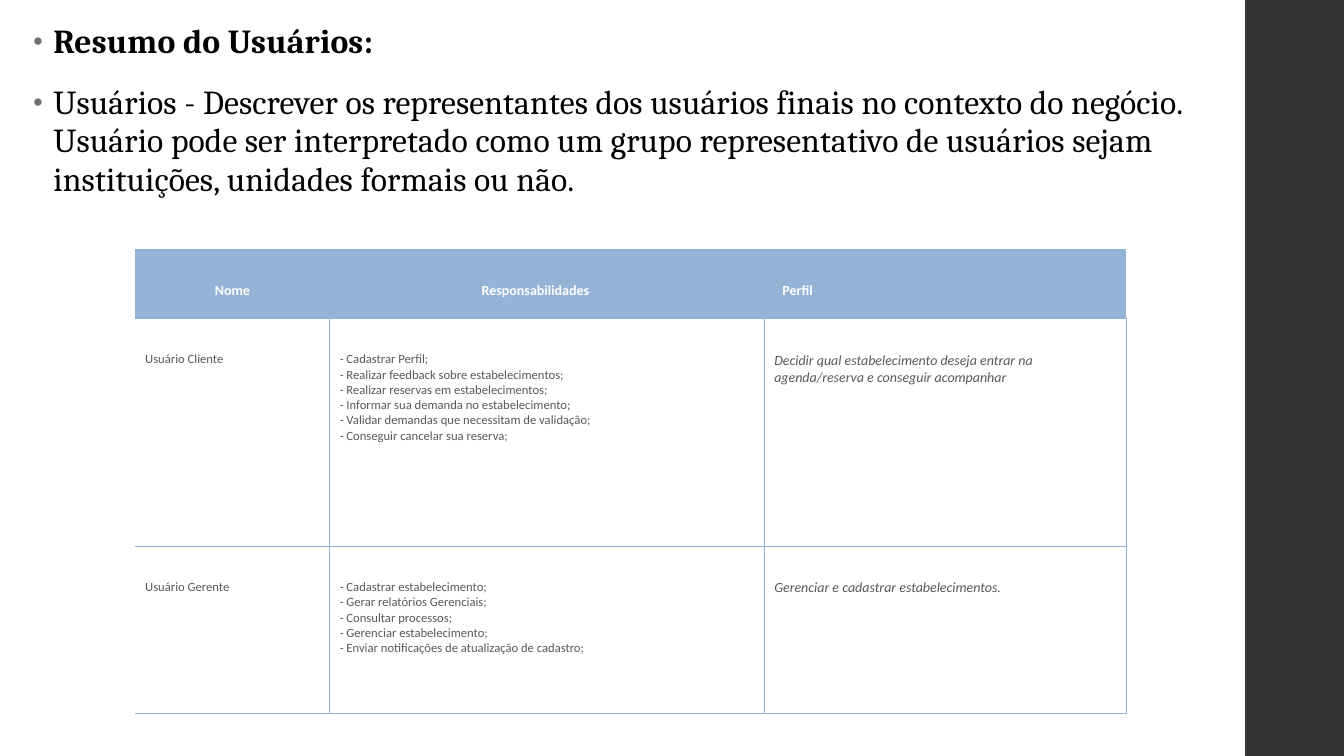
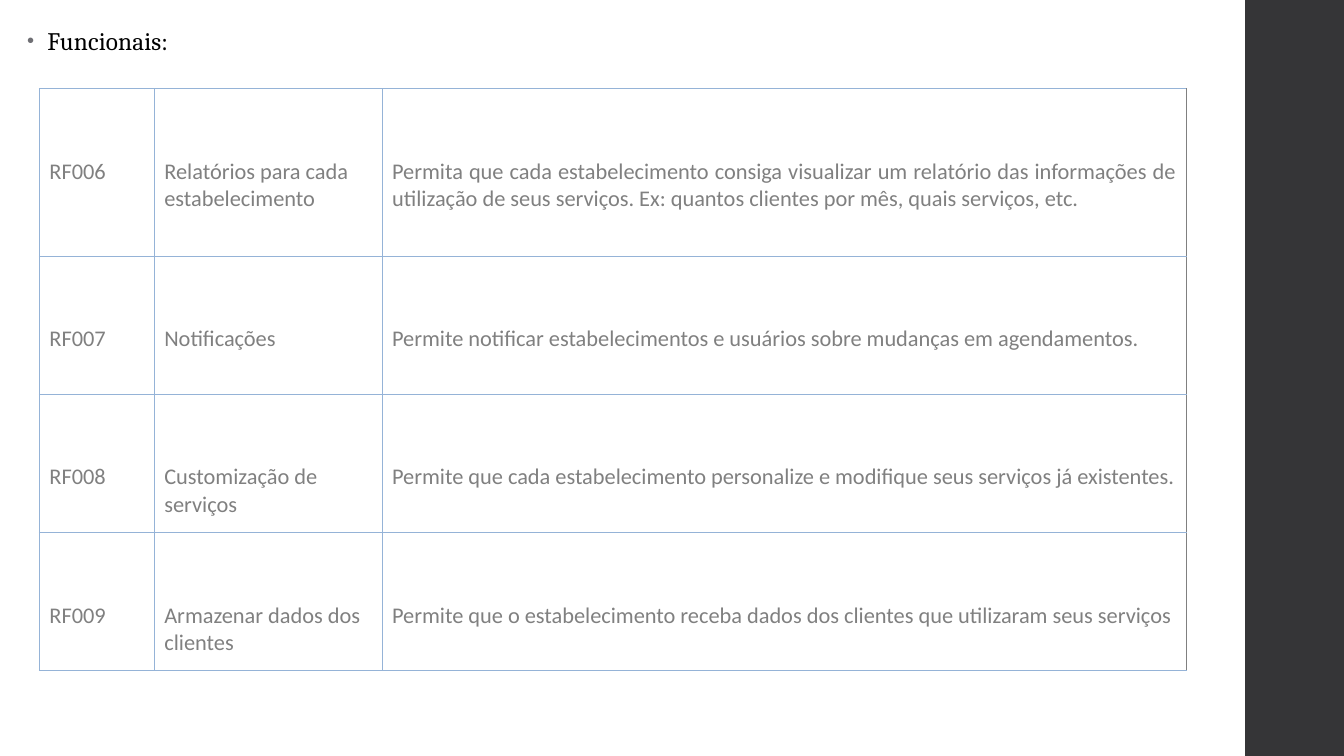
from lxml import etree
from pptx import Presentation
from pptx import util as u
from pptx.dml.color import RGBColor
from pptx.enum import shapes, text
from pptx.oxml import ns

BLACK = RGBColor(0x00, 0x00, 0x00)
WHITE = RGBColor(0xFF, 0xFF, 0xFF)
DARK = RGBColor(0x35, 0x35, 0x37)
BLUE = RGBColor(0x95, 0xB3, 0xD7)
TEXT = RGBColor(0x59, 0x59, 0x59)
GREY = RGBColor(0x80, 0x80, 0x80)
DOT = RGBColor(0x6F, 0x6F, 0x74)
PLAIN = "{2D5ABB26-0587-4C30-8999-92F81FD0307C}"
LEFT, MID, JUST = text.PP_ALIGN.LEFT, text.PP_ALIGN.CENTER, text.PP_ALIGN.JUSTIFY


def add(node, tag, **attrs):
    item = etree.SubElement(node, ns.qn(tag))
    for key, val in attrs.items():
        item.set(key, str(val))
    return item


def fill_cell(cell, words, font, align, gap, edges, back=None):
    cell.text_frame.text = words
    cell.margin_top = u.Inches(gap)
    size, color, bold, slant = font
    for par in cell.text_frame.paragraphs:
        par.alignment = align
        for run in par.runs:
            run.font.name = "Calibri"
            run.font.size = u.Pt(size)
            run.font.color.rgb = color
            run.font.bold = bold
            run.font.italic = slant
    props = cell._tc.get_or_add_tcPr()
    for side in "LRTB":
        if side in edges:
            line = add(props, "a:ln" + side, w=u.Pt(0.75))
            add(add(line, "a:solidFill"), "a:srgbClr", val=edges[side])
    if back is None:
        cell.fill.background()
    else:
        cell.fill.solid()
        cell.fill.fore_color.rgb = back


deck = Presentation()
deck.slide_width, deck.slide_height = u.Inches(13.33), u.Inches(7.5)
wide, high = deck.slide_width, deck.slide_height
layout = deck.slide_layouts[1]

pages = [
    dict(
        body=(0.23, 0.18, 12.03, 7.15), size=24,
        lines=[
            ("Resumo do Usuários:", True),
            ("Usuários - Descrever os representantes dos usuários finais no contexto "
             "do negócio. Usuário pode ser interpretado como um grupo representativo "
             "de usuários sejam instituições, unidades formais ou não.", False),
        ],
        spot=(1.34, 2.47), cols=[1.93, 4.08, 0.23, 3.59], rows=[0.69, 2.26, 1.66],
    ),
    dict(
        body=(0.17, 0.22, 10.61, 6.54), size=18,
        lines=[("Funcionais:", False)],
        spot=(0.39, 0.88), cols=[1.14, 2.26, 7.98], rows=[1.66] + [1.37] * 3,
    ),
]

grids = []
for page in pages:
    slide = deck.slides.add_slide(layout)
    title = slide.shapes.title.element
    title.getparent().remove(title)
    if not grids:
        band = slide.shapes.add_shape(
            shapes.MSO_SHAPE.RECTANGLE, u.Inches(12.35), 0, wide - u.Inches(12.35), high)
        band.shadow.inherit = False
        band.fill.solid()
        band.fill.fore_color.rgb = DARK
        band.line.fill.background()
        band.element.nvSpPr.cNvPr.id = 20
        layout.shapes.element.insert(2, band.element)

    body = slide.placeholders[1]
    body.left, body.top, body.width, body.height = map(u.Inches, page["body"])
    frame = body.text_frame
    frame.text = "\n".join(words for words, bold in page["lines"])
    frame.auto_size = text.MSO_AUTO_SIZE.NONE
    for par, (words, bold) in zip(frame.paragraphs, page["lines"]):
        par.line_spacing = 0.95
        par.space_before, par.space_after = u.Pt(14), u.Pt(2)
        props = par._p.get_or_add_pPr()
        props.set("marL", str(u.Inches(0.2)))
        props.set("indent", str(u.Inches(-0.2)))
        add(add(props, "a:buClr"), "a:srgbClr", val=DOT)
        add(props, "a:buSzPct", val=80000)
        add(props, "a:buFont", typeface="Arial")
        add(props, "a:buChar", char="•")
        run = par.runs[0]
        run.font.name = "Cambria"
        run.font.size = u.Pt(page["size"])
        run.font.color.rgb = BLACK
        run.font.bold = bold
        run._r.get_or_add_rPr().set("spc", "10")

    cols, rows = page["cols"], page["rows"]
    left, top = page["spot"]
    grid = slide.shapes.add_table(
        len(rows), len(cols), u.Inches(left), u.Inches(top),
        u.Inches(sum(cols)), u.Inches(sum(rows))).table
    grid.first_row = grid.horz_banding = False
    grid._tbl.tblPr.find(ns.qn("a:tableStyleId")).text = PLAIN
    for col, size in zip(grid.columns, cols):
        col.width = u.Inches(size)
    for row, size in zip(grid.rows, rows):
        row.height = u.Inches(size)
    grids.append(grid)

users, needs = grids
heads = {0: ("Nome", MID), 1: ("Responsabilidades", MID), 2: ("Perfil", LEFT)}
for col, (words, align) in heads.items():
    fill_cell(users.cell(0, col), words, (10, WHITE, True, False), align, 0.33, {}, BLUE)
users.cell(0, 2).margin_left = u.Inches(0.41)
users.cell(0, 2).merge(users.cell(0, 3))

people = [
    ("Usuário Cliente",
     "- Cadastrar Perfil;\n"
     "- Realizar feedback sobre estabelecimentos;\n"
     "- Realizar reservas em estabelecimentos;\n"
     "- Informar sua demanda no estabelecimento;\n"
     "- Validar demandas que necessitam de validação;\n"
     "- Conseguir cancelar sua reserva;",
     "Decidir qual estabelecimento deseja entrar na agenda/reserva e conseguir acompanhar"),
    ("Usuário Gerente",
     "- Cadastrar estabelecimento;\n"
     "- Gerar relatórios Gerenciais;\n"
     "- Consultar processos;\n"
     "- Gerenciar estabelecimento;\n"
     "- Enviar notificações de atualização de cadastro;",
     "Gerenciar e cadastrar estabelecimentos."),
]
small, slant = (9, TEXT, False, False), (10, TEXT, False, True)
for row, (name, tasks, goal) in enumerate(people, 1):
    users.cell(row, 1).merge(users.cell(row, 2))
    for col, words, font, sides in [
            (0, name, small, "RTB"), (1, tasks, small, "LRTB"),
            (2, "", small, "RTB"), (3, goal, slant, "LTB")]:
        fill_cell(users.cell(row, col), words, font, LEFT, 0.33, dict.fromkeys(sides, BLUE))

items = [
    ("RF006", "Relatórios para cada estabelecimento",
     "Permita que cada estabelecimento consiga visualizar um relatório das informações "
     "de utilização de seus serviços. Ex: quantos clientes por mês, quais serviços, etc."),
    ("RF007", "Notificações",
     "Permite notificar estabelecimentos e usuários sobre mudanças em agendamentos."),
    ("RF008", "Customização de serviços",
     "Permite que cada estabelecimento personalize e modifique seus serviços já existentes."),
    ("RF009", "Armazenar dados dos clientes",
     "Permite que o estabelecimento receba dados dos clientes que utilizaram seus serviços"),
]
for row, item in enumerate(items):
    for col, words in enumerate(item):
        last = col == 2
        edges = dict.fromkeys("LRTB", BLUE)
        if last:
            edges["R"] = GREY
        fill_cell(needs.cell(row, col), words, (16, GREY, False, False),
                  JUST if last else LEFT, 0.69, edges)

deck.save("out.pptx")
